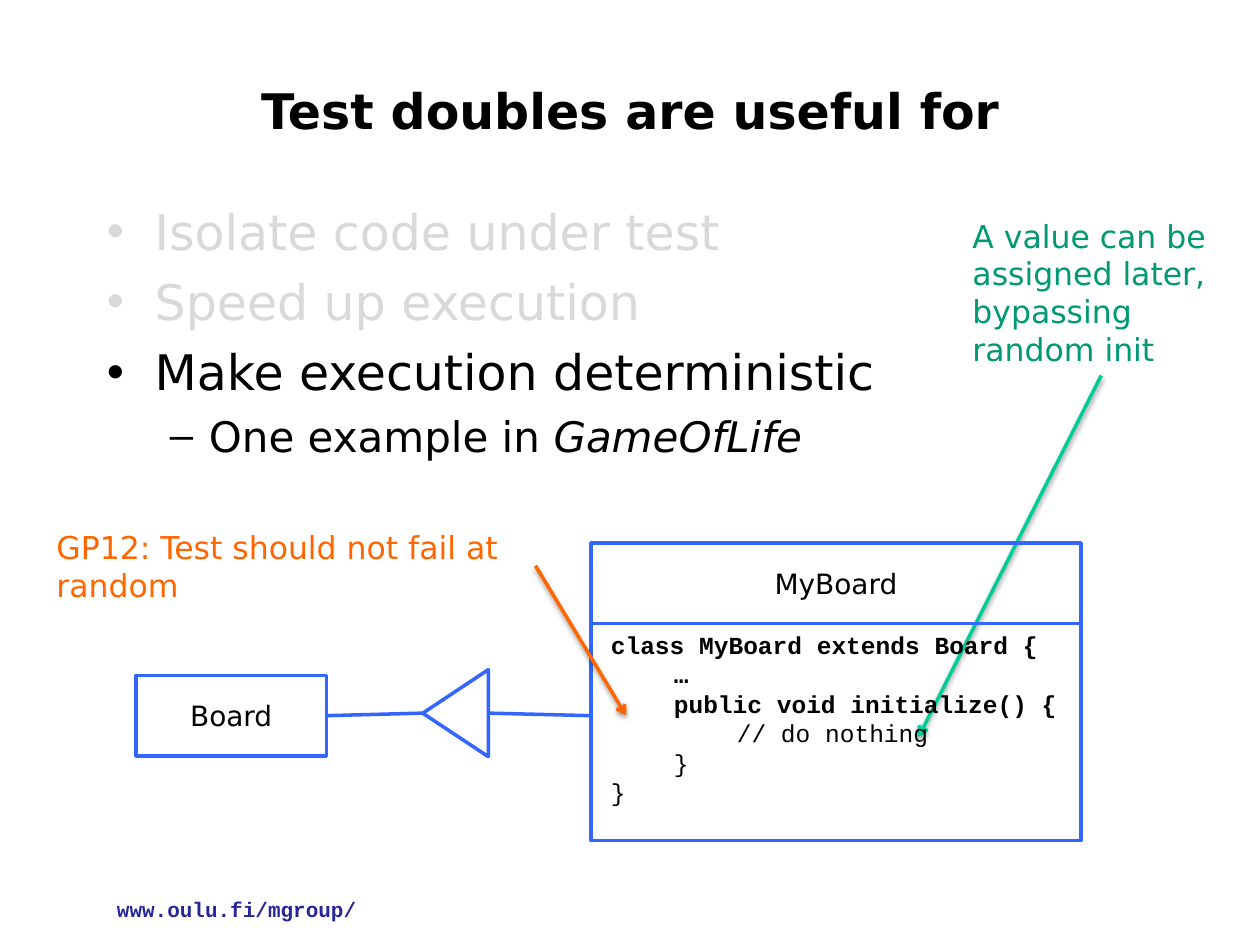
"""Build the slide on test doubles with its class diagram and code."""
from lxml.etree import SubElement
from pptx import Presentation
from pptx.dml.color import RGBColor
from pptx.enum.shapes import MSO_CONNECTOR, MSO_SHAPE
from pptx.enum.text import MSO_ANCHOR, PP_ALIGN
from pptx.oxml.ns import qn
from pptx.util import Inches, Pt

HUES = {"black": "000000", "white": "FFFFFF", "gray": "D9D9D9", "blue": "3366FF",
        "mint": "00CC99", "green": "009973", "orange": "FF6600", "navy": "262699"}
SANS, MONO = "DejaVu Sans", "Courier New"

TITLE = "Test doubles are useful for"
SITE = "www.oulu.fi/mgroup/"
BULLETS = [
    dict(runs=[("Isolate code under test", {})], hue="gray"),
    dict(runs=[("Speed up execution", {})], hue="gray"),
    dict(runs=[("Make execution deterministic", {})]),
    dict(runs=[("One example in ", {}), ("GameOfLife", {"italic": True})],
         size=24, mark="–", left=0.81, hang=0.31),
]
CODE = [
    (1, "class MyBoard extends Board {", True),
    (2, "…", True),
    (2, "public void initialize() {", True),
    (3, "// do nothing", False),
    (2, "}", False),
    (1, "}", False),
]
NOTES = [
    ("A value can be assigned later, bypassing random init", "green", (7.62, 1.67, 2.24, 1.31)),
    ("GP12: Test should not fail at random", "orange", (0.35, 4.14, 3.9, 0.71)),
]
ARROWS = [("mint", (8.74, 2.98), (7.29, 5.85)), ("orange", (4.25, 4.49), (4.97, 5.68))]
TAB = 0.5

deck = Presentation()
deck.slide_width, deck.slide_height = Inches(10), Inches(7.5)
slide = deck.slides.add_slide(deck.slide_layouts[6])
shapes = slide.shapes


def color(name):
    return RGBColor.from_string(HUES[name])


def write(frame, text, size=28, hue="black", font=SANS, bold=False, align=PP_ALIGN.LEFT,
          mark=None, left=0, hang=0, gap=0):
    runs = [(text, {})] if isinstance(text, str) else text
    para = frame.paragraphs[0]
    if para.runs:
        para = frame.add_paragraph()
        para.space_before = Pt(gap)
    para.alignment = align
    props = para._p.get_or_add_pPr()
    if left:
        props.set("marL", str(Inches(left)))
        props.set("indent", str(-Inches(hang)))
    if mark:
        SubElement(props, qn("a:buFont")).set("typeface", "Arial")
        SubElement(props, qn("a:buChar")).set("char", mark)
    for words, style in runs:
        run = para.add_run()
        run.text = words
        run.font.name, run.font.size = font, Pt(size)
        run.font.bold = bold
        run.font.italic = style.get("italic", False)
        run.font.color.rgb = color(hue)


def box(place, wrap=True, anchor=MSO_ANCHOR.TOP):
    frame = shapes.add_textbox(*map(Inches, place)).text_frame
    frame.word_wrap, frame.vertical_anchor = wrap, anchor
    return frame


def block(kind, place, label="", fill=None):
    shape = shapes.add_shape(kind, *map(Inches, place))
    shape.shadow.inherit = False
    if fill:
        shape.fill.solid()
        shape.fill.fore_color.rgb = color(fill)
    else:
        shape.fill.background()
    shape.line.color.rgb, shape.line.width = color("blue"), Pt(2)
    if label:
        shape.text_frame.vertical_anchor = MSO_ANCHOR.MIDDLE
        write(shape.text_frame, label, size=16, align=PP_ALIGN.CENTER)
    return shape


def link(hue, start, end, arrow=False):
    line = shapes.add_connector(MSO_CONNECTOR.STRAIGHT, *map(Inches, start + end))
    line.line.color.rgb, line.line.width = color(hue), Pt(2)
    props = line._element.spPr
    if arrow:
        SubElement(props.find(qn("a:ln")), qn("a:tailEnd")).set("type", "arrow")
    effects = SubElement(props, qn("a:effectLst"))
    if arrow:
        shade = SubElement(effects, qn("a:outerShdw"), blurRad=str(Pt(3.1)),
                           dist=str(Pt(1.6)), dir="5400000", rotWithShape="0")
        tint = SubElement(shade, qn("a:srgbClr"), val=HUES["black"])
        SubElement(tint, qn("a:alpha"), val="38000")
    return line


write(box((0.83, 7.07, 2.13, 0.3), wrap=False), SITE, size=12, hue="navy", font=MONO, bold=True)
write(box((0.75, 0.25, 8.5, 1.25), anchor=MSO_ANCHOR.MIDDLE), TITLE,
      bold=True, align=PP_ALIGN.CENTER)

body = box((0.75, 1.55, 8.74, 5.12))
for item in BULLETS:
    look = dict(mark="•", left=0.38, hang=0.38, size=28) | item
    write(body, look.pop("runs"), gap=look["size"] * 0.23, **look)

board = block(MSO_SHAPE.RECTANGLE, (1.08, 5.36, 1.51, 0.64), "Board", fill="white")
link("blue", (2.59, 5.68), (3.35, 5.66)).begin_connect(board, 3)
for arrow in ARROWS[:1]:
    link(*arrow, arrow=True)

code = box((4.25, 4.95, 5, 1.51))
for depth, words, bold in CODE:
    write(code, words, size=14, font=MONO, bold=bold, left=depth * TAB)

block(MSO_SHAPE.ISOSCELES_TRIANGLE, (3.27, 5.4, 0.69, 0.52), fill="white").rotation = 270
block(MSO_SHAPE.RECTANGLE, (4.69, 4.31, 3.89, 0.64), "MyBoard")
link("blue", (4.69, 5.68), (3.88, 5.66))
block(MSO_SHAPE.RECTANGLE, (4.69, 4.95, 3.89, 1.72))

for words, hue, place in NOTES:
    write(box(place), words, size=18, hue=hue)
for arrow in ARROWS[1:]:
    link(*arrow, arrow=True)

deck.save("out.pptx")
